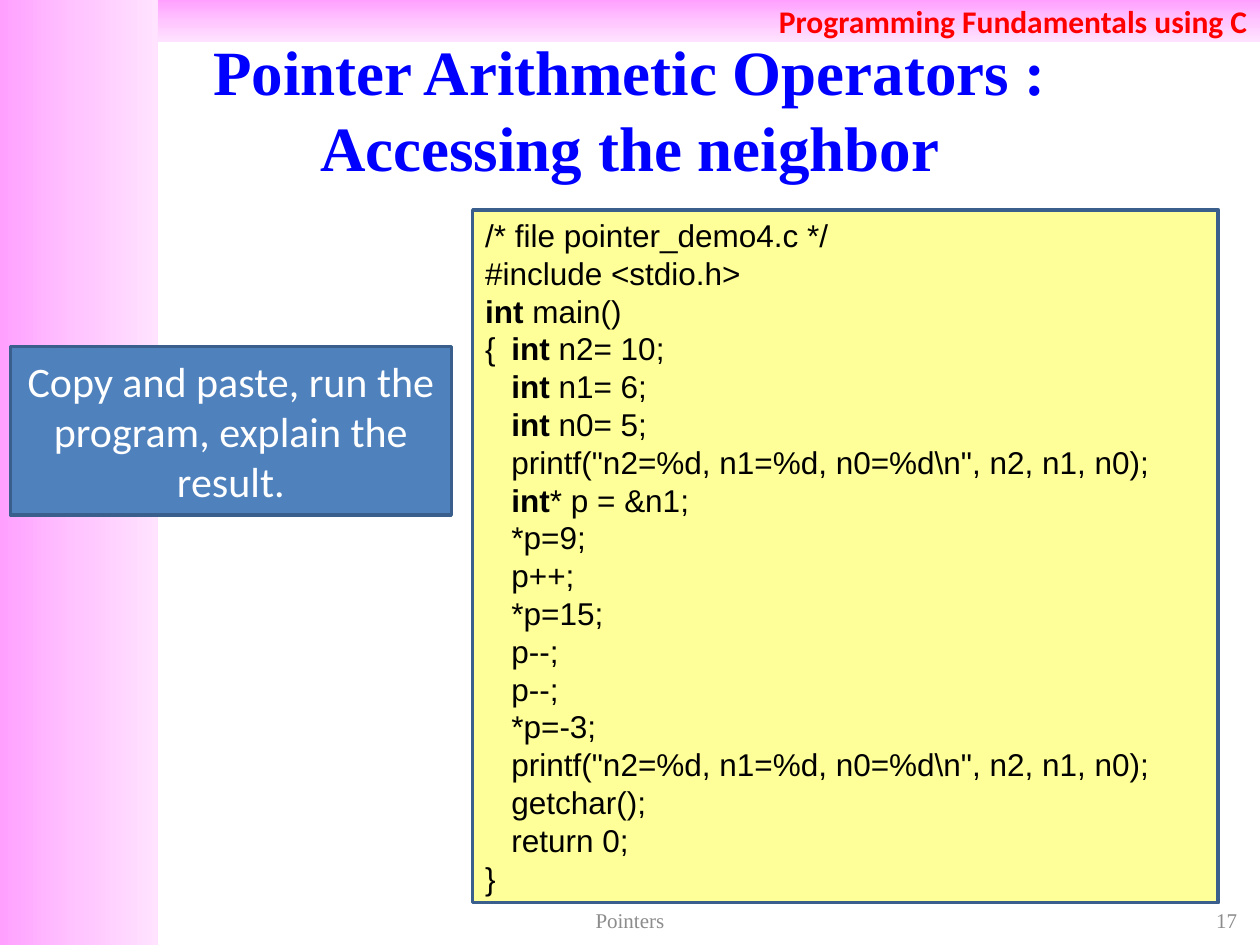
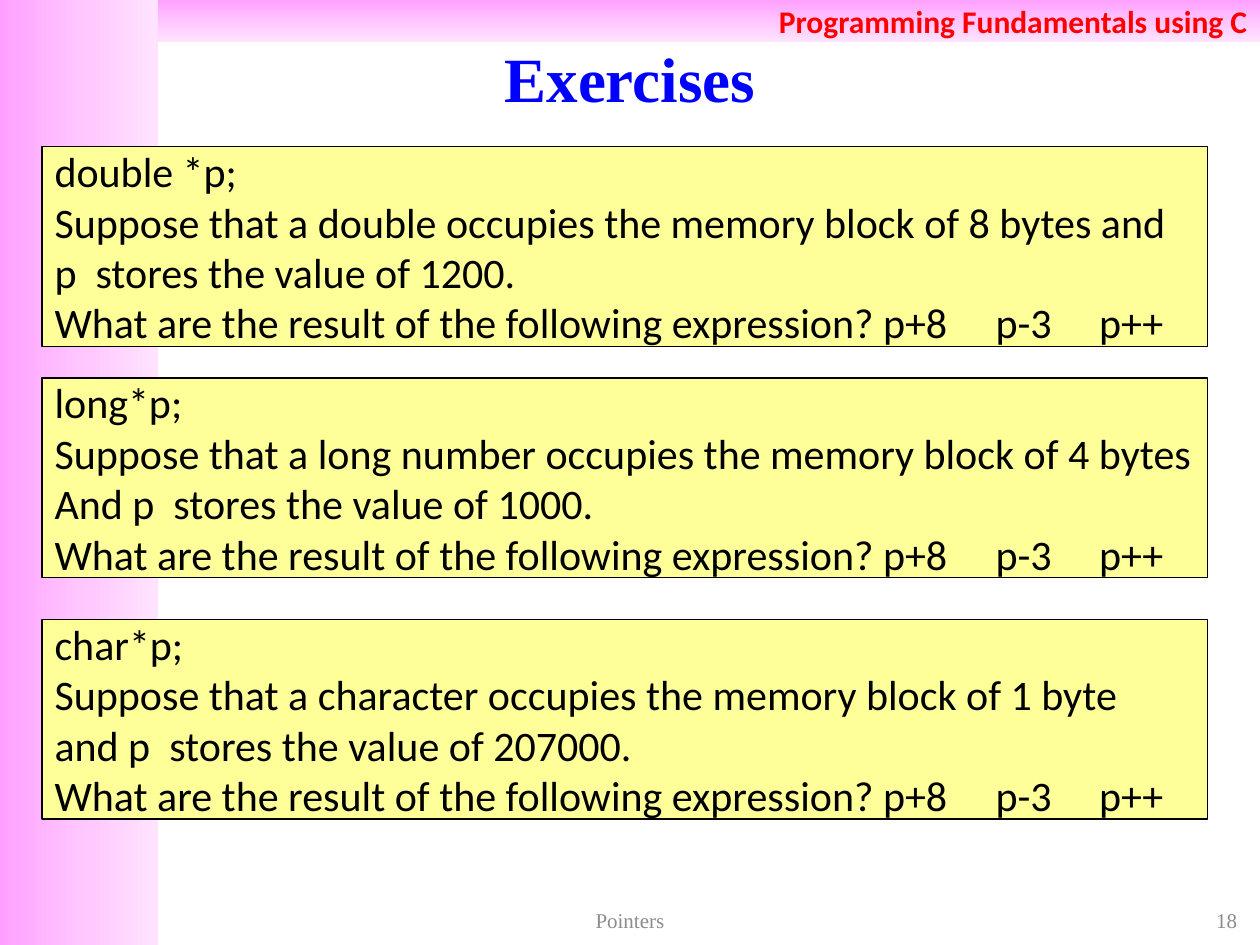
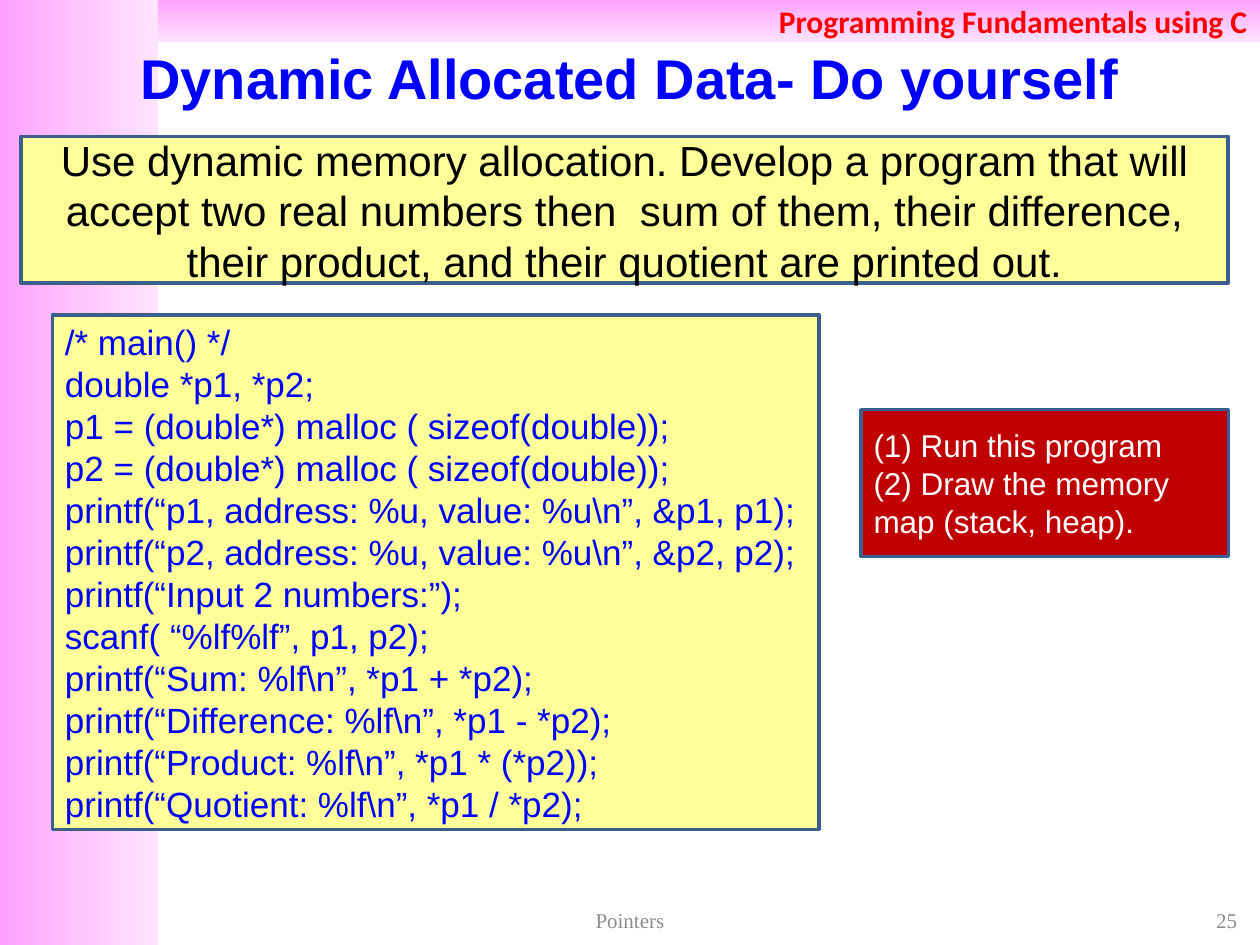
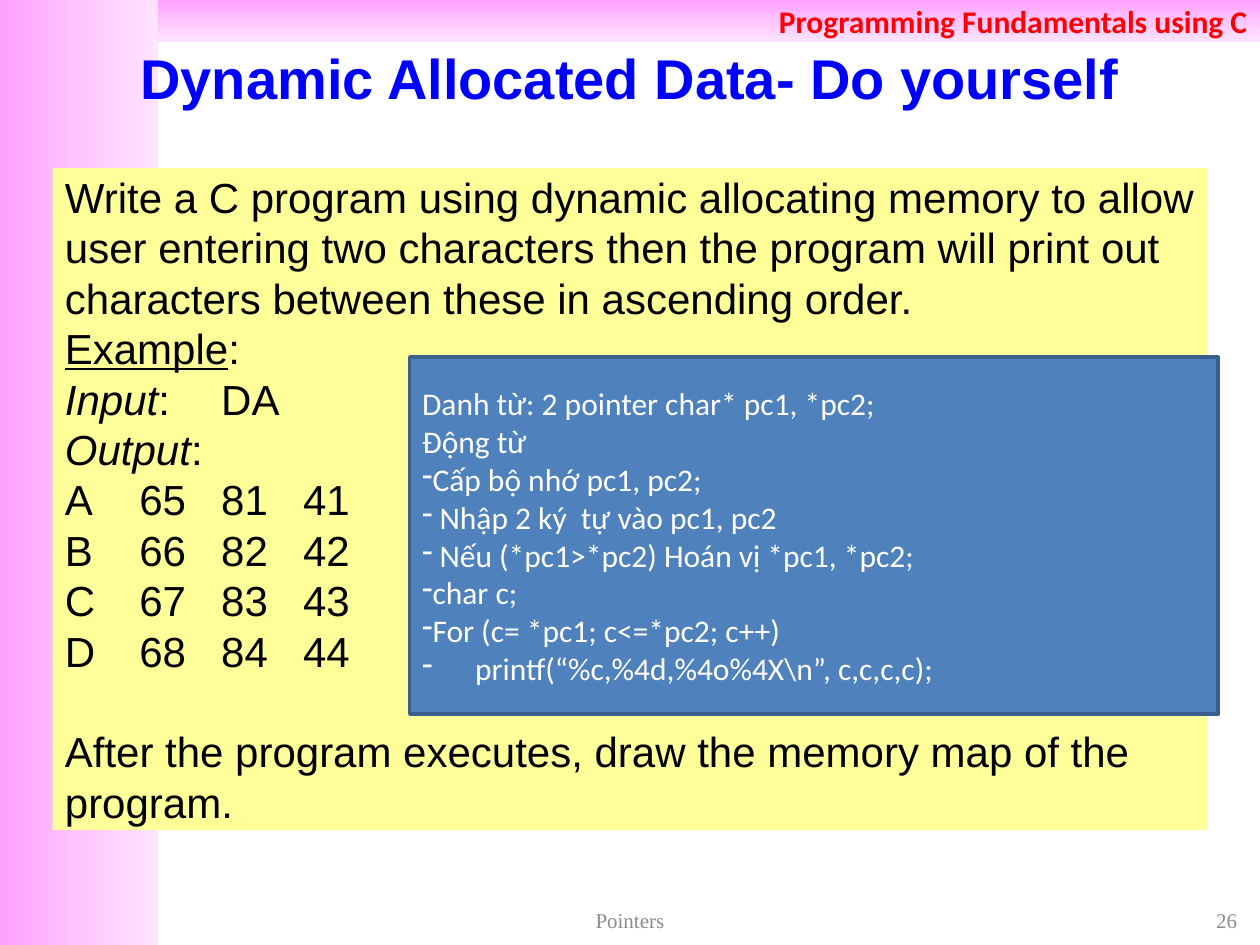
import copy

import pptx
import pptx.dml.color
import pptx.enum.shapes
import pptx.enum.text
import pptx.oxml
import pptx.oxml.ns
import pptx.util

Cm = pptx.util.Cm
Pt = pptx.util.Pt
ALIGN = pptx.enum.text.PP_ALIGN

PAPER, BLUE, EDGE = "FFFF99", "4F81BD", "3A5F8C"
TITLE_BLUE, RED, CRIMSON = "0000FF", "FF0000", "C00000"
BLACK, WHITE, GREY = "000000", "FFFFFF", "8C8C8C"
BAND_STOPS = [(0, "FFA0FF"), (0.5, "FFC5FF"), (1, "FFE3FF")]

PAGE_WIDTH, PAGE_HEIGHT = 25.4, 19.05
SIDE_WIDTH, HEADER_HEIGHT = 3.18, 0.85
CODE_INDENT = 0.53

INT = ("int", "bold")
PRINT_ALL = 'printf("n2=%d, n1=%d, n0=%d\\n", n2, n1, n0);'
POINTER_DEMO = [
    "/* file pointer_demo4.c */",
    "#include <stdio.h>",
    [INT, " main()"],
    ["{\t", INT, " n2= 10;"],
    [INT, " n1= 6;"],
    [INT, " n0= 5;"],
    PRINT_ALL,
    [INT, "* p = &n1;"],
    "*p=9;",
    "p++;",
    "*p=15;",
    "p--;",
    "p--;",
    "*p=-3;",
    PRINT_ALL,
    "getchar();",
    "return 0;",
    "}",
]

QUESTION = "What are the result of the following expression? p+8\tp-3\tp++"
EXERCISES = [
    (2.96, "double *p;",
     "Suppose that a double occupies the memory block of 8 bytes and",
     "p  stores the value of 1200."),
    (7.62, "long*p;",
     "Suppose that a long number occupies the memory block of 4 bytes",
     "And p  stores the value of 1000."),
    (12.49, "char*p;",
     "Suppose that a character occupies the memory block of 1 byte",
     "and p  stores the value of 207000."),
]

ALLOCATION_TASK = (
    "Use dynamic memory allocation. Develop a program that will accept two "
    "real numbers then  sum of them, their difference, their product, and "
    "their quotient are printed out.")
ALLOCATION_CODE = [
    "/* main() */",
    "double *p1, *p2;",
    "p1 = (double*) malloc ( sizeof(double));",
    "p2 = (double*) malloc ( sizeof(double));",
    "printf(“p1, address: %u, value: %u\\n”, &p1, p1);",
    "printf(“p2, address: %u, value: %u\\n”, &p2, p2);",
    "printf(“Input 2 numbers:”);",
    "scanf( “%lf%lf”, p1, p2);",
    "printf(“Sum: %lf\\n”, *p1 + *p2);",
    "printf(“Difference: %lf\\n”, *p1 - *p2);",
    "printf(“Product: %lf\\n”, *p1 * (*p2));",
    "printf(“Quotient: %lf\\n”, *p1 / *p2);",
]

CHARACTER_TASK = [
    "Write a C program using dynamic allocating memory to allow user entering "
    "two characters then the program will print out characters between these "
    "in ascending order.",
    [("Example", "underline"), ":"],
    [("Input", "italic"), ":\tDA"],
    [("Output", "italic"), ":"],
    "A\t65\t81\t41",
    "B\t66\t82\t42",
    "C\t67\t83\t43",
    "D\t68\t84\t44",
    "After the program executes, draw the memory map of the program.",
]
CHARACTER_HINTS = [
    "Danh từ: 2 pointer char* pc1, *pc2;",
    "Động từ",
    "Cấp bộ nhớ pc1, pc2;",
    " Nhập 2 ký  tự vào pc1, pc2",
    " Nếu (*pc1>*pc2) Hoán vị *pc1, *pc2;",
    "char c;",
    "For (c= *pc1; c<=*pc2; c++)",
    "printf(“%c,%4d,%4o%4X\\n”, c,c,c,c);",
]


def rgb(code):
    """Turn a hex string into a colour."""
    return pptx.dml.color.RGBColor.from_string(code)


def write(frame, lines, size, font, color, align=ALIGN.LEFT, bold=False):
    """Fill a text frame; a line is a string or a list of plain and styled spans."""
    frame.word_wrap = True
    frame.auto_size = pptx.enum.text.MSO_AUTO_SIZE.NONE
    frame.vertical_anchor = pptx.enum.text.MSO_ANCHOR.MIDDLE
    for index, line in enumerate(lines):
        para = frame.add_paragraph() if index else frame.paragraphs[0]
        para.alignment = align
        para.line_spacing = Pt(size * 1.2)
        para.font.size = Pt(size)
        para.font.name = font
        para.font.bold = bold
        para.font.color.rgb = rgb(color)
        if isinstance(line, str):
            para.text = line
            continue
        for part in line:
            text, style = (part, None) if isinstance(part, str) else part
            span = para.add_run()
            span.text = text
            if style:
                setattr(span.font, style, True)
    return frame.paragraphs


def add_property(para, tag):
    """Add a bullet or tab list to a paragraph's properties, in schema order."""
    properties = para._p.get_or_add_pPr()
    element = pptx.oxml.parse_xml(
        f'<a:{tag} {pptx.oxml.ns.nsdecls("a")}/>')
    properties.insert_element_before(element, "a:defRPr", "a:extLst")
    return element


def indent(para, left, first=0):
    """Set the left margin and first-line indent in centimetres."""
    properties = para._p.get_or_add_pPr()
    properties.set("marL", str(Cm(left)))
    properties.set("indent", str(Cm(first)))


def set_tabs(para, *stops):
    """Give a paragraph left tab stops in centimetres."""
    tabs = add_property(para, "tabLst")
    for stop in stops:
        tab = pptx.oxml.parse_xml(f'<a:tab {pptx.oxml.ns.nsdecls("a")}/>')
        tab.set("pos", str(Cm(stop)))
        tab.set("algn", "l")
        tabs.append(tab)


def add_box(page, box, fill=None, edge=None, weight=2):
    """Draw a flat rectangle in box (left, top, width, height)."""
    shape = page.shapes.add_shape(
        pptx.enum.shapes.MSO_SHAPE.RECTANGLE, *map(Cm, box))
    shape.shadow.inherit = False
    if fill:
        shape.fill.solid()
        shape.fill.fore_color.rgb = rgb(fill)
    if edge:
        shape.line.color.rgb = rgb(edge)
        shape.line.width = Pt(weight)
    else:
        shape.line.fill.background()
    return shape


def add_band(page, box, angle):
    """Draw a pink gradient band."""
    band = add_box(page, box)
    band.fill.gradient()
    band.fill.gradient_angle = angle
    stops = band.element.find(".//" + pptx.oxml.ns.qn("a:gsLst"))
    stops.insert(1, copy.deepcopy(stops[0]))
    for stop, (position, color) in zip(band.fill.gradient_stops, BAND_STOPS):
        stop.position = position
        stop.color.rgb = rgb(color)
    return band


def move_bands_to_master(deck, page):
    """Draw the side and header bands and move them to the master."""
    side = add_band(page, (0, 0, SIDE_WIDTH, PAGE_HEIGHT), 0)
    header = add_band(
        page, (SIDE_WIDTH, 0, PAGE_WIDTH - SIDE_WIDTH, HEADER_HEIGHT), 270)
    write(header.text_frame, ["Programming Fundamentals using C"],
          18, "Calibri", RED, ALIGN.RIGHT, True)
    tree = deck.slide_master.shapes.element
    for order, band in enumerate((side, header)):
        band.element.nvSpPr.cNvPr.set("id", str(100 + order))
        tree.insert(2 + order, band.element)


def add_footer(page, box, text, align):
    """Write one small grey footer text."""
    shape = page.shapes.add_textbox(*map(Cm, box))
    write(shape.text_frame, [text], 12, "Times New Roman", GREY, align)


def add_page(deck, title, number, height=1.58, size=32, font="Arial"):
    """Add a titled page with its footers."""
    page = deck.slides.add_slide(deck.slide_layouts.get_by_name("Title Only"))
    heading = page.shapes.title
    heading.left, heading.top = Cm(0), Cm(0.76)
    heading.width, heading.height = Cm(PAGE_WIDTH), Cm(height)
    write(heading.text_frame, [title], size, font, TITLE_BLUE,
          ALIGN.CENTER, True)
    add_footer(page, (8.68, 18.2, 8.04, 0.69), "Pointers", ALIGN.CENTER)
    add_footer(page, (19.26, 18.2, 5.93, 0.69), str(number), ALIGN.RIGHT)
    return page


def add_pointer_demo(page, box):
    """Place the pointer program with its indented body."""
    code = add_box(page, box, PAPER, EDGE)
    paras = write(code.text_frame, POINTER_DEMO, 18, "Arial", BLACK)
    set_tabs(paras[3], CODE_INDENT)
    for para in paras[4:-1]:
        indent(para, CODE_INDENT)


def add_exercise(page, box, lines):
    """Place one exercise, its expressions set on tab stops."""
    exercise = add_box(page, box, PAPER, BLACK, 0.75)
    paras = write(exercise.text_frame, [*lines, QUESTION],
                  24, "Calibri", BLACK)
    set_tabs(paras[-1], 18.97, 21.06)


def add_character_task(page, box):
    """Place the character task with its example table on tab stops."""
    task = add_box(page, box, PAPER)
    paras = write(task.text_frame, CHARACTER_TASK, 24, "Arial", BLACK)
    for para in [paras[2], *paras[4:8]]:
        set_tabs(para, 1.5, 3.15, 4.8)
    paras[-1].space_before = Pt(28.8)


def add_character_hints(page, box):
    """Place the hints, with dashes before the steps."""
    hints = add_box(page, box, BLUE, EDGE)
    paras = write(hints.text_frame, CHARACTER_HINTS, 18, "Calibri", WHITE)
    for para in paras[2:]:
        indent(para, 0)
        add_property(para, "buChar").set("char", "-")
    indent(paras[-1], 1.07, -1.07)


def build_neighbor_page(deck):
    """Build the page on pointer arithmetic."""
    page = add_page(
        deck, "Pointer Arithmetic Operators :\vAccessing the neighbor",
        17, 2.84, 36, "Times New Roman")
    move_bands_to_master(deck, page)
    note = add_box(page, (0.21, 6.99, 8.89, 3.39), BLUE, EDGE)
    write(note.text_frame,
          ["Copy and paste, run the program, explain the result."],
          24, "Calibri", WHITE, ALIGN.CENTER)
    add_pointer_demo(page, (9.53, 4.23, 15.03, 13.97))


def build_exercises_page(deck):
    """Build the page of three exercises."""
    page = add_page(deck, "Exercises", 18, size=36, font="Times New Roman")
    for top, *lines in EXERCISES:
        add_exercise(page, (0.85, top, 23.5, 4.02), lines)


def build_allocation_page(deck):
    """Build the page on allocating two numbers."""
    page = add_page(deck, "Dynamic Allocated Data- Do yourself", 25)
    task = add_box(page, (0.42, 2.75, 24.34, 2.96), PAPER, EDGE)
    write(task.text_frame, [ALLOCATION_TASK], 24, "Arial", BLACK, ALIGN.CENTER)
    code = add_box(page, (1.06, 6.35, 15.45, 10.37), PAPER, EDGE)
    write(code.text_frame, ALLOCATION_CODE, 20, "Arial", TITLE_BLUE)
    steps = add_box(page, (17.36, 8.26, 7.41, 2.96), CRIMSON, EDGE)
    write(steps.text_frame,
          ["(1) Run this program", "(2) Draw the memory map (stack, heap)."],
          18, "Arial", WHITE)


def build_characters_page(deck):
    """Build the page on allocating two characters."""
    page = add_page(deck, "Dynamic Allocated Data- Do yourself", 26)
    add_character_task(page, (1.06, 3.39, 23.28, 13.34))
    add_character_hints(page, (8.26, 7.2, 16.3, 7.2))


def main():
    """Build and save the deck."""
    deck = pptx.Presentation()
    deck.slide_width, deck.slide_height = Cm(PAGE_WIDTH), Cm(PAGE_HEIGHT)
    build_neighbor_page(deck)
    build_exercises_page(deck)
    build_allocation_page(deck)
    build_characters_page(deck)
    deck.save("out.pptx")


main()
